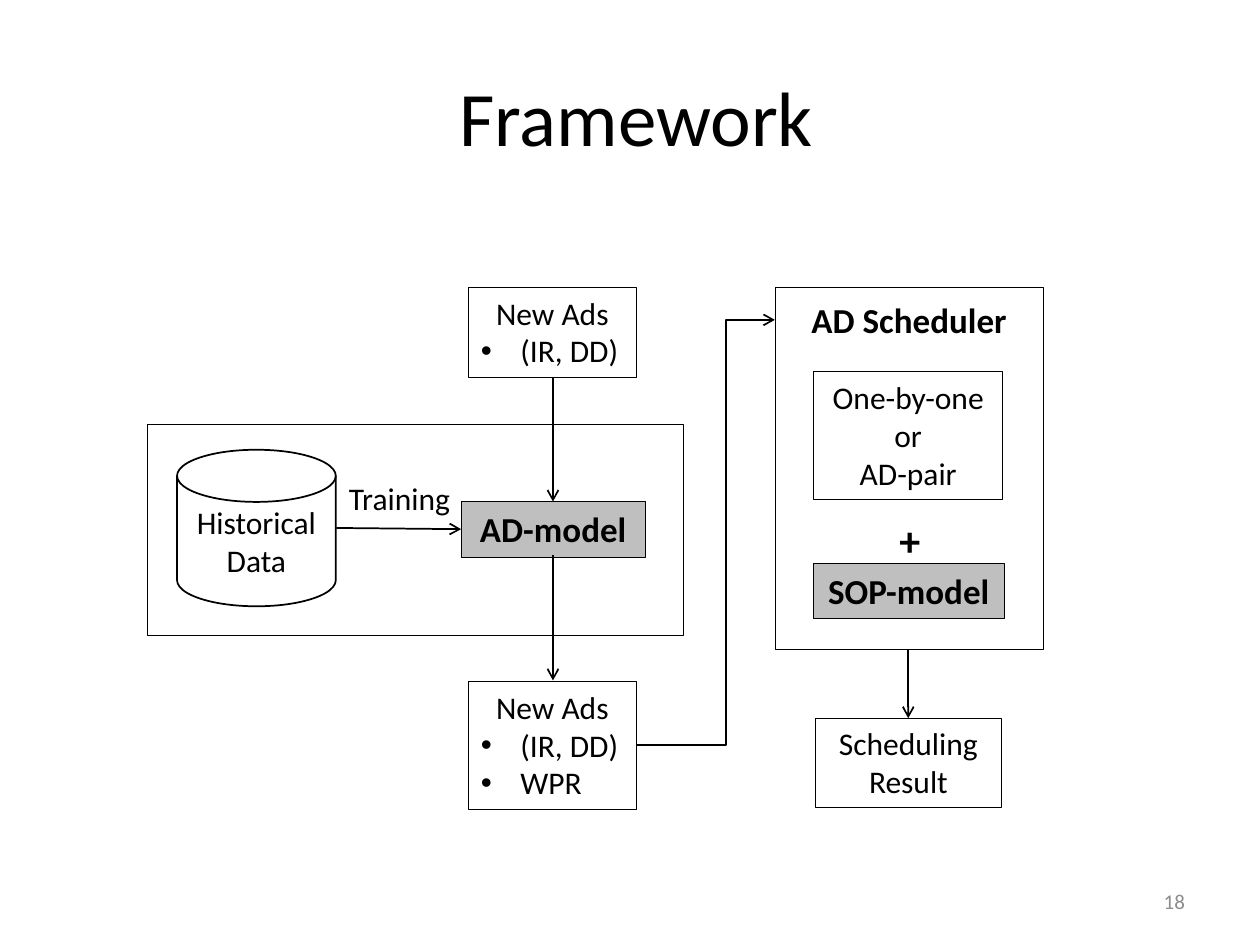
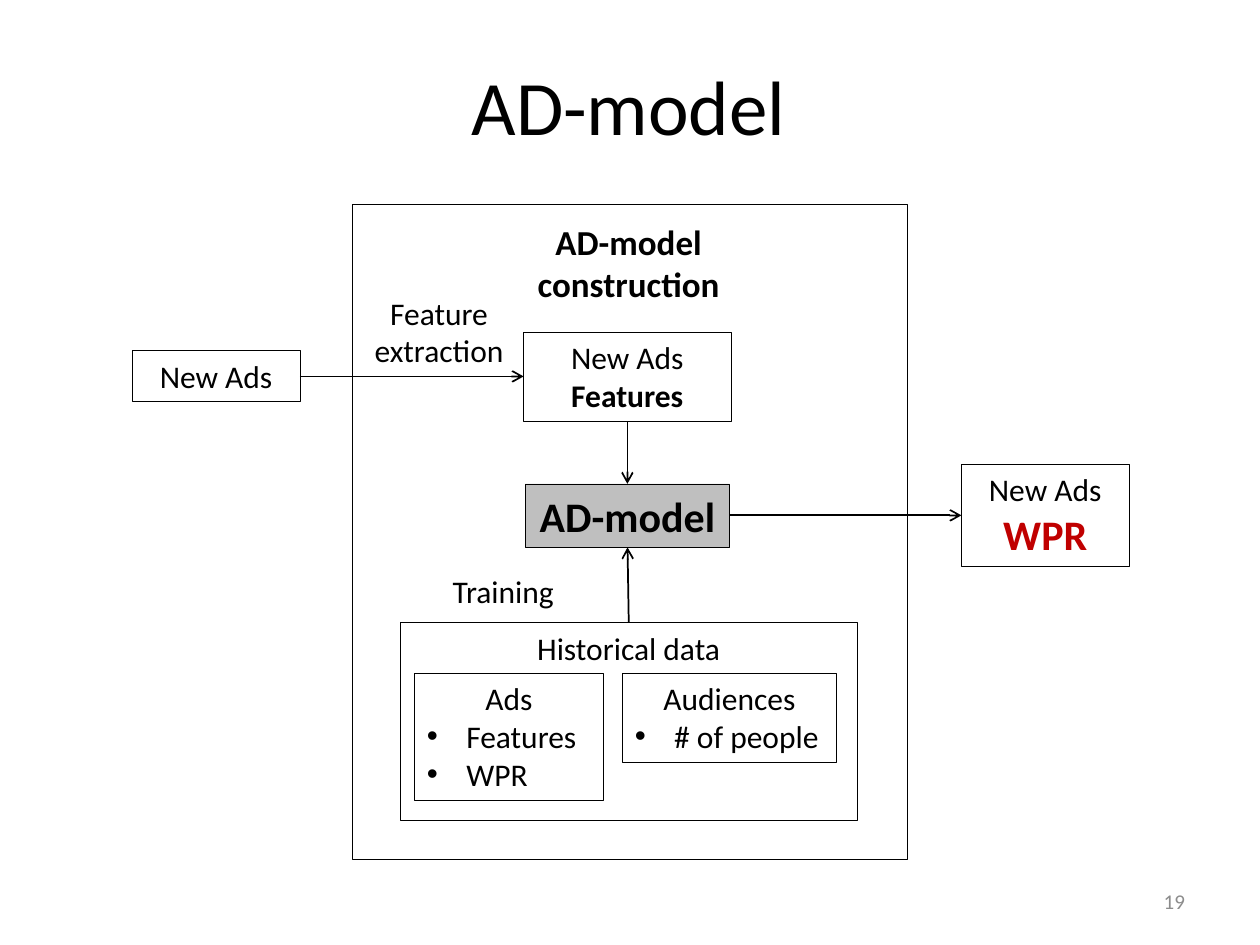
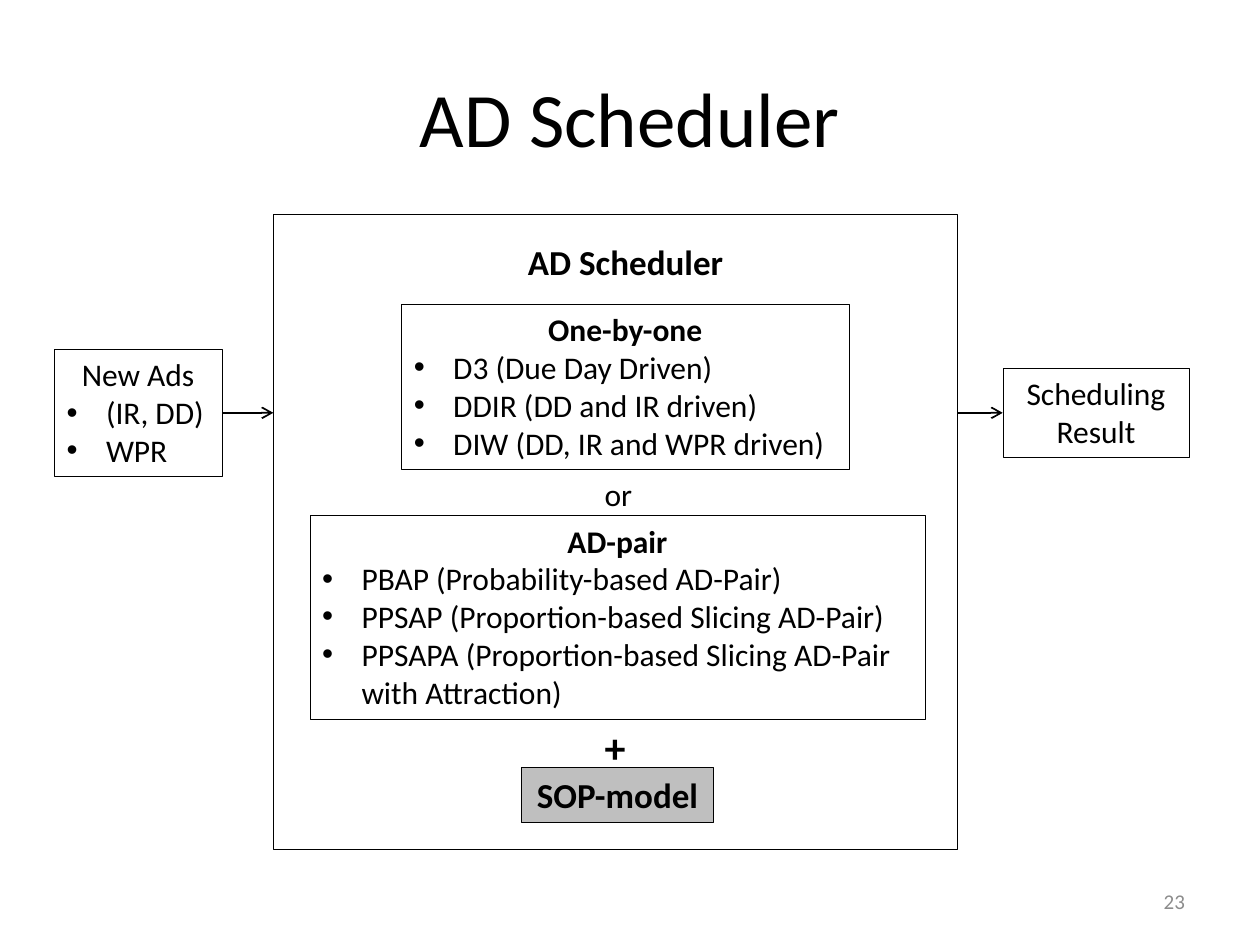
from lxml import etree
from pptx import Presentation
from pptx.dml.color import RGBColor
from pptx.enum.shapes import MSO_CONNECTOR as CONN, MSO_SHAPE as SHAPE
from pptx.enum.text import MSO_ANCHOR as ANCHOR, PP_ALIGN as ALIGN
from pptx.oxml.ns import qn
from pptx.util import Pt

BULLET = "• "
BOLD_20 = dict(size=Pt(20), bold=True)
BOLD_24 = dict(size=Pt(24), bold=True)
NEW_ADS = ["New Ads", "• (IR, DD)", "• WPR"]


def rgb(value):
    return RGBColor.from_string(value)


def assign(target, values):
    for name, value in values.items():
        setattr(target, name, value)


class Deck:
    font = "Calibri"
    ink = "000000"
    grey = "BFBFBF"
    muted = "8C8C8C"
    red = "C00000"
    thin = 0.25
    indent = 22.5

    def __init__(self):
        self.prs = Presentation()
        assign(self.prs, dict(slide_width=Pt(720), slide_height=Pt(540)))
        self.s = None

    def slide(self, title, number, left, top):
        self.s = self.prs.slides.add_slide(self.prs.slide_layouts[5])
        sp = self.s.shapes.title
        assign(sp, dict(left=Pt(left), top=Pt(top), width=Pt(648), height=Pt(90)))
        self.fill_text(sp.text_frame, [title], dict(size=Pt(44)), anchor=ANCHOR.MIDDLE)
        self.label([number], 516.2, 500.4, 168, 28.8, dict(size=Pt(12)),
                   align=ALIGN.RIGHT, anchor=ANCHOR.MIDDLE, color=self.muted)

    def fill_text(self, tf, lines, fmt=None, align=ALIGN.CENTER, anchor=ANCHOR.TOP, color=ink):
        assign(tf, dict(word_wrap=True, vertical_anchor=anchor))
        for i, line in enumerate(lines):
            text, own, tint = line if isinstance(line, tuple) else (line, {}, color)
            p = tf.add_paragraph() if i else tf.paragraphs[0]
            p.alignment = align
            if text.startswith(BULLET):
                text = text.removeprefix(BULLET)
                self.bullet(p)
            r = p.add_run()
            r.text = text
            assign(r.font, dict(name=self.font, size=Pt(18)) | (fmt or {}) | own)
            r.font.color.rgb = rgb(tint)

    def bullet(self, p):
        p.alignment = ALIGN.LEFT
        pPr = p._p.get_or_add_pPr()
        pPr.set("marL", str(Pt(self.indent)))
        pPr.set("indent", str(-Pt(self.indent)))
        etree.SubElement(pPr, qn("a:buFont")).set("typeface", "Arial")
        etree.SubElement(pPr, qn("a:buChar")).set("char", BULLET.strip())

    def label(self, lines, x, y, w, h, fmt=None, **style):
        sp = self.s.shapes.add_textbox(Pt(x), Pt(y), Pt(w), Pt(h))
        self.fill_text(sp.text_frame, lines, fmt, **style)

    def box(self, lines, x, y, w, h, fmt=None, fill=None, kind=SHAPE.RECTANGLE,
            weight=thin, **style):
        sp = self.s.shapes.add_shape(kind, Pt(x), Pt(y), Pt(w), Pt(h))
        sp.shadow.inherit = False
        if fill:
            sp.fill.solid()
            sp.fill.fore_color.rgb = rgb(fill)
        else:
            sp.fill.background()
        sp.line.color.rgb = rgb(self.ink)
        sp.line.width = Pt(weight)
        self.fill_text(sp.text_frame, lines, fmt, **style)

    def frame(self, x, y, w, h):
        self.box([], x, y, w, h)

    def model(self, name, x, y, w, h=31.6, fmt=BOLD_20):
        self.box([name], x, y, w, h, fmt, fill=self.grey)

    def plus(self, x, y):
        self.label(["+"], x, y, 28.8, 36, BOLD_24, align=ALIGN.LEFT)

    def result(self, x, y):
        self.box(["Scheduling Result"], x, y, 106.6, 51.1)

    def arrow(self, x1, y1, x2, y2, bend=None):
        kind = CONN.ELBOW if bend else CONN.STRAIGHT
        c = self.s.shapes.add_connector(kind, Pt(x1), Pt(y1), Pt(x2), Pt(y2))
        c.line.color.rgb = rgb(self.ink)
        c.line.width = Pt(1)
        spPr = c._element.spPr
        etree.SubElement(spPr.find(qn("a:ln")), qn("a:tailEnd")).set("type", "arrow")
        etree.SubElement(spPr, qn("a:effectLst"))
        if bend:
            gd = etree.SubElement(spPr.find(qn("a:prstGeom")).find(qn("a:avLst")), qn("a:gd"))
            gd.set("name", "adj1")
            gd.set("fmla", f"val {round(bend * 100000)}")


def framework(d):
    d.slide("Framework", "18", 39.6, 21)
    d.frame(84.2, 242.6, 306, 120.2)
    d.frame(442.8, 164.2, 153.4, 206.6)
    d.label(["AD Scheduler"], 442.8, 167, 153.4, 31.6, BOLD_20)
    d.box(["One-by-one", "or", "AD-pair"], 465, 212.4, 108, 72.7)
    d.plus(506.9, 290.2)
    d.model("SOP-model", 464.6, 321.8, 109.4)
    d.result(465.8, 410.4)
    d.box(NEW_ADS[:2], 267.8, 164.2, 95.8, 51.1)
    d.box(NEW_ADS, 267.8, 389.5, 95.8, 72.7)
    d.model("AD-model", 263.5, 286.6, 105.2)
    d.box(["Historical Data"], 101.2, 257, 90.7, 89.5, kind=SHAPE.FLOWCHART_MAGNETIC_DISK,
          weight=1, anchor=ANCHOR.MIDDLE)
    d.label(["Training"], 190.1, 270, 76.3, 28.8)
    d.arrow(192.2, 301.7, 263.5, 302.4)
    d.arrow(316, 215.3, 316, 286.6)
    d.arrow(316, 317, 316, 388.8)
    d.arrow(519, 370.8, 519, 410.4)
    d.arrow(363.6, 425.6, 442.8, 182.8, bend=0.65)


def ad_model(d):
    d.slide("AD-model", "19", 35.3, 15.1)
    d.frame(201.4, 116.6, 316.8, 374.4)
    d.label(["AD-model construction"], 260.6, 122.4, 197.3, 55.4, BOLD_20)
    d.box(["New Ads"], 75.6, 200.4, 95.8, 29)
    d.label(["Feature extraction"], 201.6, 164.2, 98.6, 51.1)
    d.box(["New Ads", ("Features", dict(bold=True), d.ink)], 299.2, 189.6, 118.6, 51.1)
    d.model("AD-model", 300.2, 276.5, 116.8, 36.4, BOLD_24)
    d.box(["New Ads", ("WPR", BOLD_24, d.red)], 549.4, 265.2, 95.8, 58.4)
    d.label(["Training"], 238.3, 323.3, 98.6, 28.8)
    d.frame(229, 355.7, 260.8, 112.8)
    d.label(["Historical data"], 274.3, 355.7, 169.9, 28.8)
    d.box(["Ads", "• Features", "• WPR"], 236.9, 384.6, 108, 72.7)
    d.box(["Audiences", "• # of people"], 355.7, 384.6, 122.4, 51.1)
    d.arrow(171.4, 215.1, 299.2, 215.1)
    d.arrow(358.5, 240.7, 358.5, 276.5)
    d.arrow(359.3, 355.7, 358.6, 312.8)
    d.arrow(417, 294.5, 549.4, 294.5)


def ad_scheduler(d):
    d.slide("AD Scheduler", "23", 36, 21.6)
    d.frame(156.2, 122.4, 391, 362.9)
    d.label(["AD Scheduler"], 280.8, 133.9, 153.4, 31.6, BOLD_20)
    bold = dict(bold=True)
    d.box([("One-by-one", bold, d.ink), "• D3 (Due Day Driven)", "• DDIR (DD and IR driven)",
           "• DIW (DD, IR and WPR driven)"], 229.4, 173.8, 255.8, 94.4)
    d.label(["or"], 338.4, 267.8, 38.2, 28.8, align=ALIGN.LEFT)
    d.box([("AD-pair", bold, d.ink), "• PBAP (Probability-based AD-Pair)",
           "• PPSAP (Proportion-based Slicing AD-Pair)",
           "• PPSAPA (Proportion-based Slicing AD-Pair with Attraction)"],
          177, 294.5, 351.7, 116.3)
    d.plus(338.4, 409)
    d.model("SOP-model", 298, 438.5, 109.8)
    d.box(NEW_ADS, 31, 199.6, 95.8, 72.7)
    d.result(573, 210.4)
    d.arrow(126.8, 235.9, 156.2, 235.9)
    d.arrow(547.2, 235.9, 573, 235.9)


def main():
    d = Deck()
    for build in (framework, ad_model, ad_scheduler):
        build(d)
    d.prs.save("out.pptx")


if __name__ == "__main__":
    main()
